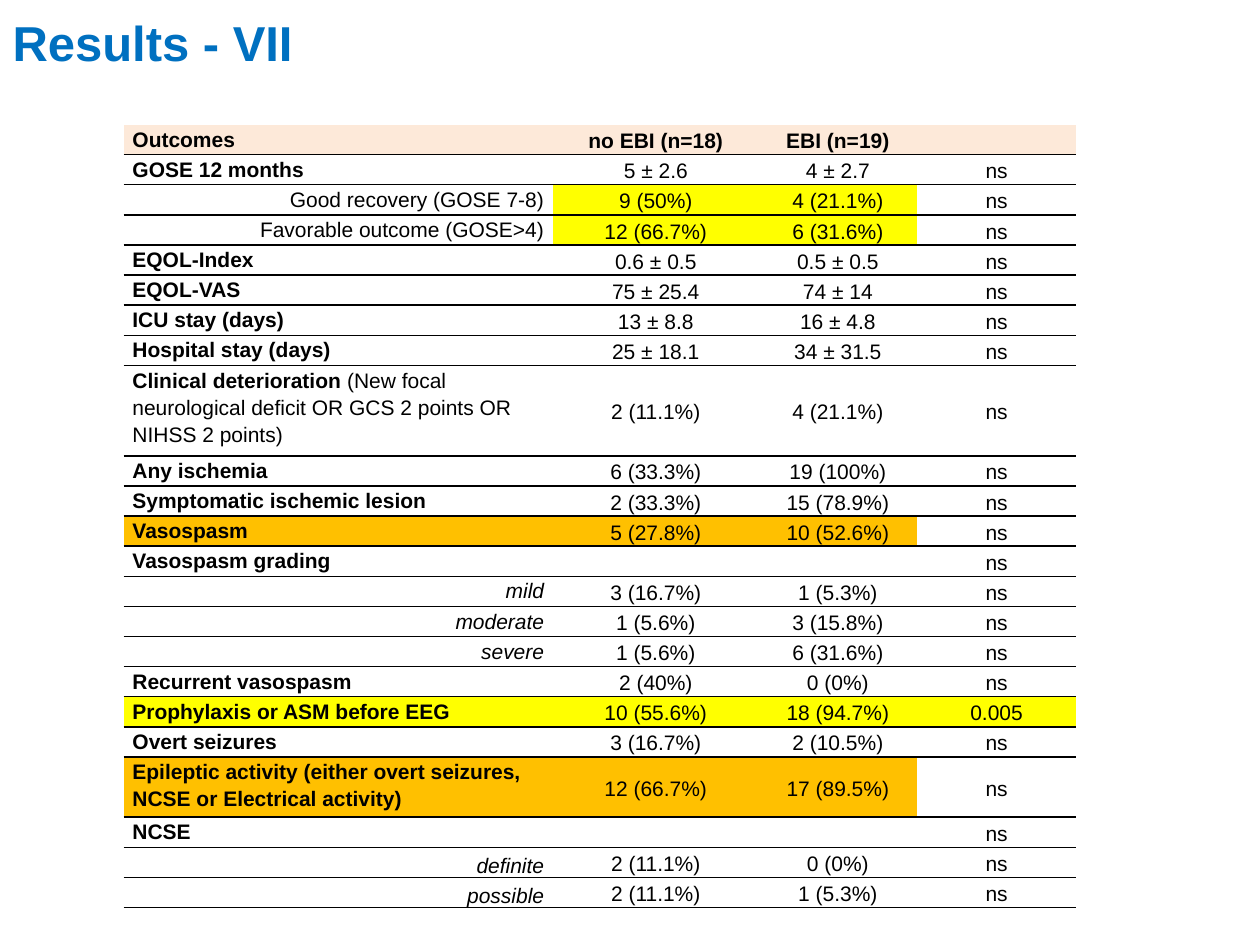
import pptx
import pptx.util
import pptx.dml.color
import pptx.enum.text
import lxml.etree
from pptx.util import Cm, Pt
from pptx.oxml.ns import qn

RGB = pptx.dml.color.RGBColor.from_string
ALIGN = pptx.enum.text.PP_ALIGN
ANCHOR = pptx.enum.text.MSO_ANCHOR
PLAIN = "{2D5ABB26-0587-4C30-8999-92F81FD0307C}"  # no style, no grid

theme = {
    "font": "Arial", "title": 28, "body": 12,
    "blue": "0070C0", "ink": "000000",
    "head": "FDE9D9", "yellow": "FFFF00", "amber": "FFC000",
}

# kind of label, label, no EBI, EBI, p value, lines high
rows = [
    ("main", "Outcomes", "no EBI (n=18)", "EBI (n=19)", "", 1),
    ("main", "GOSE 12 months", "5 ± 2.6", "4 ± 2.7", "ns", 1),
    ("sub", "Good recovery (GOSE 7-8)", "9 (50%)", "4 (21.1%)", "ns", 1),
    ("sub", "Favorable outcome (GOSE>4)", "12 (66.7%)", "6 (31.6%)", "ns", 1),
    ("main", "EQOL-Index", "0.6 ± 0.5", "0.5 ± 0.5", "ns", 1),
    ("main", "EQOL-VAS", "75 ± 25.4", "74 ± 14", "ns", 1),
    ("main", "ICU stay (days)", "13 ± 8.8", "16 ± 4.8", "ns", 1),
    ("main", "Hospital stay (days)", "25 ± 18.1", "34 ± 31.5", "ns", 1),
    ("mixed", "Clinical deterioration |(New focal neurological deficit "
     "OR GCS 2 points OR NIHSS 2 points)", "2 (11.1%)", "4 (21.1%)", "ns", 3),
    ("main", "Any ischemia", "6 (33.3%)", "19 (100%)", "ns", 1),
    ("main", "Symptomatic ischemic lesion", "2 (33.3%)", "15 (78.9%)", "ns", 1),
    ("main", "Vasospasm", "5 (27.8%)", "10 (52.6%)", "ns", 1),
    ("main", "Vasospasm grading", "", "", "ns", 1),
    ("grade", "mild", "3 (16.7%)", "1 (5.3%)", "ns", 1),
    ("grade", "moderate", "1 (5.6%)", "3 (15.8%)", "ns", 1),
    ("grade", "severe", "1 (5.6%)", "6 (31.6%)", "ns", 1),
    ("main", "Recurrent vasospasm", "2 (40%)", "0 (0%)", "ns", 1),
    ("main", "Prophylaxis or ASM before EEG", "10 (55.6%)", "18 (94.7%)", "0.005", 1),
    ("main", "Overt seizures", "3 (16.7%)", "2 (10.5%)", "ns", 1),
    ("main", "Epileptic activity (either overt seizures, NCSE or Electrical "
     "activity)", "12 (66.7%)", "17 (89.5%)", "ns", 2),
    ("main", "NCSE", "", "", "ns", 1),
    ("low", "definite", "2 (11.1%)", "0 (0%)", "ns", 1),
    ("low", "possible", "2 (11.1%)", "1 (5.3%)", "ns", 1),
]
# row: colour, filled columns
marks = {
    0: ("head", range(4)),
    2: ("yellow", (1, 2)), 3: ("yellow", (1, 2)),
    11: ("amber", range(3)),
    17: ("yellow", range(4)),
    19: ("amber", range(3)),
}


def style(font, size, colour):
    font.name, font.size = theme["font"], Pt(size)
    font.color.rgb = RGB(theme[colour])


def rule(cell):
    """Draw a thin line under the cell."""
    line = lxml.etree.SubElement(cell._tc.get_or_add_tcPr(), qn("a:lnB"), w=str(Pt(1)))
    fill = lxml.etree.SubElement(line, qn("a:solidFill"))
    lxml.etree.SubElement(fill, qn("a:srgbClr"), val=theme["ink"])


deck = pptx.Presentation()
deck.slide_width, deck.slide_height = Cm(25.4), Cm(19.05)
slide = deck.slides.add_slide(deck.slide_layouts[5])

title = slide.shapes.title
title.left, title.top, title.width, title.height = Cm(0), Cm(0.13), Cm(23.19), Cm(3.18)
frame = title.text_frame
frame.text = "Results - VII"
frame.auto_size = pptx.enum.text.MSO_AUTO_SIZE.NONE
frame.vertical_anchor = ANCHOR.TOP
para = frame.paragraphs[0]
para.alignment = ALIGN.LEFT
style(para.font, theme["title"], "blue")
para.font.bold = True

widths = [8.66, 4.14, 3.2, 3.2]
tall = 15.8
unit = tall / sum(row[-1] for row in rows)
table = slide.shapes.add_table(
    len(rows), len(widths), Cm(2.49), Cm(2.51), Cm(sum(widths)), Cm(tall)).table
table.first_row = table.horz_banding = False
table._tbl.tblPr.find(qn("a:tableStyleId")).text = PLAIN
for col, width in zip(table.columns, widths):
    col.width = Cm(width)

for r, (kind, *texts, lines) in enumerate(rows):
    table.rows[r].height = Cm(unit * lines)
    shade, filled = marks.get(r, (None, ()))
    for c, text in enumerate(texts):
        cell = table.cell(r, c)
        cell.margin_left = cell.margin_right = Cm(0.18)
        cell.margin_top = cell.margin_bottom = 0
        rule(cell)
        if c in filled:
            cell.fill.solid()
            cell.fill.fore_color.rgb = RGB(theme[shade])
        else:
            cell.fill.background()

        para = cell.text_frame.paragraphs[0]
        para.line_spacing = 1.15
        style(para.font, theme["body"], "ink")
        if c:
            cell.vertical_anchor = ANCHOR.MIDDLE
            para.alignment = ALIGN.CENTER
            para.font.bold = r == 0
        else:
            cell.vertical_anchor = ANCHOR.BOTTOM if kind == "low" else ANCHOR.TOP
            left = kind in ("main", "mixed")
            para.alignment = ALIGN.LEFT if left else ALIGN.RIGHT
            para.font.bold = kind == "main"
            para.font.italic = kind in ("grade", "low")
        for part in text.split("|") if text else []:
            run = para.add_run()
            run.text = part
            if kind == "mixed" and c == 0:
                run.font.bold = not part.startswith("(")
        if not text:
            lxml.etree.SubElement(para._p, qn("a:endParaRPr"), sz=str(theme["body"] * 100))

deck.save("out.pptx")
